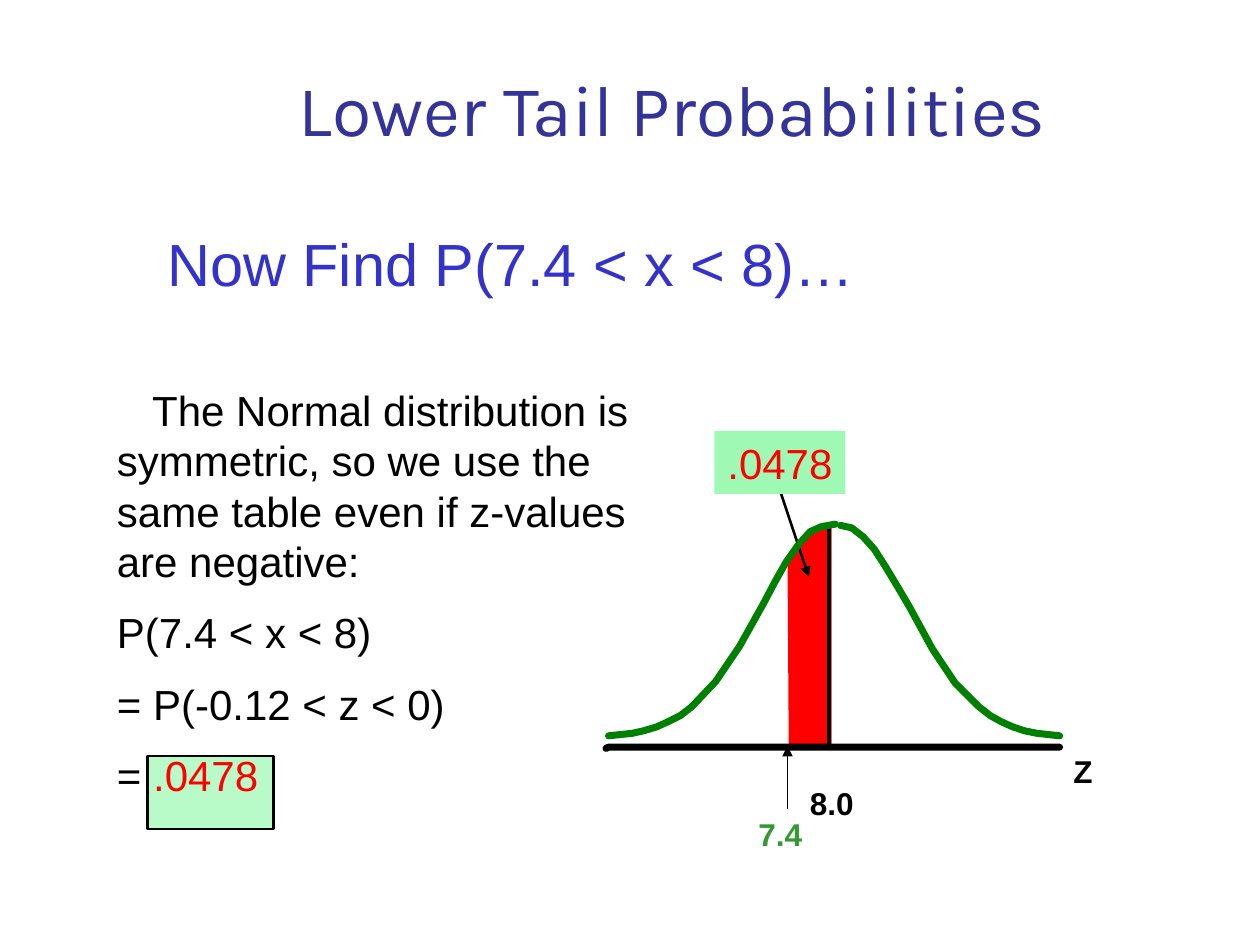
from lxml.etree import SubElement
from pptx import Presentation
from pptx.dml.color import RGBColor
from pptx.enum.shapes import MSO_CONNECTOR as Conn, MSO_SHAPE as Shape
from pptx.enum.text import MSO_ANCHOR as Anchor, PP_ALIGN as Align
from pptx.oxml.ns import qn
from pptx.util import Inches, Pt

BLACK, RED, GREEN = "000000", "FF0000", "008000"
BASE, PEAK = 5.92, 4.17
LOW, MEAN = 6.25, 6.58

TITLE = "Lower Tail Probabilities"
HEAD = "Now Find P(7.4 < x < 8)…"
AREA = ".0478"
STEPS = [
    "The Normal distribution is symmetric, so we use the same table "
    "even if z-values are negative:",
    "P(7.4 < x < 8)",
    "= P(-0.12 < z < 0)",
    [("= ", BLACK), (AREA, RED)],
]
LABELS = [
    ("Z", 8.42, 5.92, BLACK),
    ("7.4", 5.92, 6.42, "339933"),
    ("8.0", 6.33, 6.17, BLACK),
]
TAIL = [(LOW + 0.01, BASE), (LOW, 4.45), (6.3, 4.39), (6.36, 4.3), (6.42, 4.24),
        (6.47, 4.2), (6.51, PEAK), (6.6, PEAK), (6.6, BASE)]
LEFT = [(4.83, 5.84), (5.02, 5.82), (5.11, 5.8), (5.21, 5.77), (5.3, 5.73),
        (5.4, 5.68), (5.49, 5.61), (5.68, 5.41), (5.87, 5.13), (6.06, 4.79),
        (6.15, 4.62), (6.24, 4.46), (6.34, 4.32), (6.43, 4.22), (6.52, 4.18),
        (6.63, 4.16)]
RIGHT = [(8.41, 5.84), (8.23, 5.82), (8.13, 5.8), (8.04, 5.77), (7.95, 5.73),
         (7.86, 5.68), (7.77, 5.61), (7.58, 5.42), (7.4, 5.15), (7.22, 4.82),
         (7.12, 4.65), (7.03, 4.5), (6.94, 4.36), (6.85, 4.26), (6.76, 4.19),
         (6.67, 4.17)]
AXIS = [(4.81, 5.94), (4.83, 5.93), (8.41, 5.93)]

prs = Presentation()
prs.slide_width, prs.slide_height = Inches(10), Inches(7.5)
slide = prs.slides.add_slide(prs.slide_layouts[6])
shapes = slide.shapes


def rgb(code):
    return RGBColor.from_string(code)


def paint(shape, fill=None, line=None, width=1):
    shape.shadow.inherit = False
    if fill:
        shape.fill.solid()
        shape.fill.fore_color.rgb = rgb(fill)
    else:
        shape.fill.background()
    if line:
        shape.line.color.rgb = rgb(line)
        shape.line.width = Pt(width)
    else:
        shape.line.fill.background()


def write(shape, paras, size=24, color=BLACK, font="Arial", bold=False, wrap=True,
          align=Align.LEFT, anchor=Anchor.TOP, indent=0, after=0):
    """Fill a shape with paragraphs, each a string or a list of (text, colour)."""
    frame = shape.text_frame
    frame.word_wrap, frame.vertical_anchor = wrap, anchor
    for i, para in enumerate(paras):
        p = frame.paragraphs[0] if i == 0 else frame.add_paragraph()
        p.alignment = align
        p.space_before = Pt(after if i else 0)
        if i == 0 and indent:
            p._p.get_or_add_pPr().set("indent", str(Inches(indent)))
        for text, tint in [(para, color)] if isinstance(para, str) else para:
            run = p.add_run()
            run.text = text
            run.font.name, run.font.size = font, Pt(size)
            run.font.bold, run.font.color.rgb = bold, rgb(tint)


def box(*place):
    return shapes.add_textbox(*map(Inches, place))


def rect(*place, **style):
    shape = shapes.add_shape(Shape.RECTANGLE, *map(Inches, place))
    paint(shape, **style)
    return shape


def trace(points, close=False, **style):
    dots = [(Inches(x), Inches(y)) for x, y in points]
    pen = shapes.build_freeform(*dots[0])
    pen.add_line_segments(dots[1:], close=close)
    shape = pen.convert_to_shape()
    paint(shape, **style)
    if not close:
        shape._element.spPr.find(qn("a:ln")).set("cap", "rnd")


def rule(start, end, width, arrow=True):
    line = shapes.add_connector(Conn.STRAIGHT, *map(Inches, start + end))
    line.line.color.rgb, line.line.width = rgb(BLACK), Pt(width)
    props = line._element.spPr
    if arrow:
        SubElement(props.find(qn("a:ln")), qn("a:tailEnd"), type="triangle")
    SubElement(props, qn("a:effectLst"))


trace(TAIL, close=True, fill=RED)
rule((6.17, 3.83), (6.42, 4.58), 1.5)
rect(1.17, 6, 1, 0.58, fill="B8FAC8", line=BLACK, width=1.5)
write(box(1.08, 0.42, 8.52, 0.83), [TITLE], size=41, color="333399", font="Karla",
      align=Align.CENTER, anchor=Anchor.BOTTOM)
write(box(0.83, 1.75, 8.83, 4.5), [HEAD], size=34, color="3333CC", indent=0.4)
rule((MEAN, PEAK), (MEAN, BASE), 2.5, arrow=False)
for curve, color in [(RIGHT, GREEN), (LEFT, GREEN), (AXIS, BLACK)]:
    trace(curve, line=color, width=4)
for text, x, y, color in LABELS:
    write(box(x, y, 0.55, 0.4), [text], size=18, color=color, bold=True, wrap=False)
rule((LOW, 6.42), (LOW, BASE), 1)
write(box(0.83, 3, 4.33, 3.49), STEPS, indent=0.28, after=12)
write(rect(5.67, 3.42, 1.04, 0.5, fill="A0F8B5"), [AREA], color=RED,
      align=Align.CENTER, anchor=Anchor.TOP)

prs.save("out.pptx")
